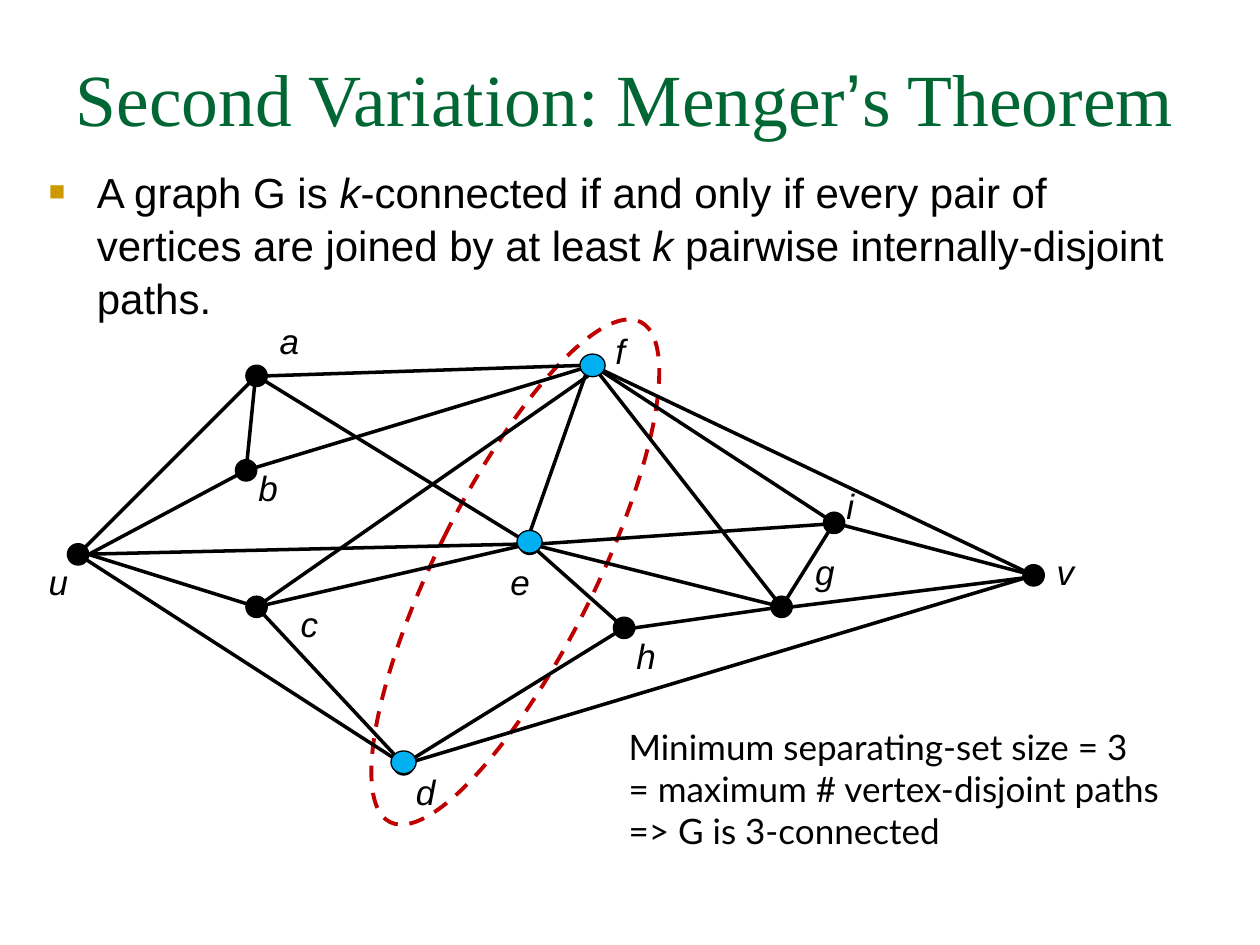
from dataclasses import dataclass
from typing import NamedTuple

from lxml.etree import SubElement
from pptx import Presentation
from pptx.dml.color import RGBColor
from pptx.enum.dml import MSO_LINE
from pptx.enum.shapes import MSO_CONNECTOR, MSO_SHAPE
from pptx.enum.text import MSO_ANCHOR, MSO_AUTO_SIZE, PP_ALIGN
from pptx.oxml.ns import qn
from pptx.util import Inches, Pt

COLORS = {"title": "006633", "text": "000000", "bullet": "CC9900",
          "cut": "C00000", "vertex": "000000", "separator": "00B0F0"}
UNIT = 1 / 12                # grid step of the graph, inches
ORIGIN_X, ORIGIN_Y = 0.62, 4.4   # vertex u sits at column 0, row 0


class Run(NamedTuple):
    text: str
    font: str = "Arial"
    italic: bool = False


@dataclass
class Vertex:
    col: float
    row: float
    label_col: float         # label box corner, relative to the vertex
    label_row: float
    label_width: float = 0.35


@dataclass
class Edge:
    start: str
    end: str
    start_shift: tuple[int, int] = (0, 0)   # columns, rows off the centre
    end_shift: tuple[int, int] = (0, 0)


VERTICES = {
    "a": Vertex(17, -17, 1, -6),
    "b": Vertex(16, -8, 0, -1),
    "c": Vertex(17, 5, 3, -1),
    "d": Vertex(31, 20, 0, 0),
    "e": Vertex(43, -1, -3, 1),
    "f": Vertex(49, -18, 1, -4, 0.27),
    "g": Vertex(67, 5, 2, -6),
    "h": Vertex(52, 7, 0, 0),
    "i": Vertex(72, -3, 0, -4.2, 0.26),
    "u": Vertex(0, 0, -4, 0),
    "v": Vertex(91, 2, 1, -3),
}
CENTRED = "ec eu dc du hd vd if vf ig vi he ge gf ea fb au"
RIGHT, LEFT, UP = (1, 0), (-1, 0), (0, -1)
EDGES = [Edge(*pair) for pair in CENTRED.split()] + [
    Edge("c", "u", end_shift=RIGHT),
    Edge("b", "u", end_shift=RIGHT),
    Edge("v", "g", RIGHT, RIGHT),
    Edge("g", "h", end_shift=RIGHT),
    Edge("i", "e", RIGHT, RIGHT),
    Edge("f", "a", LEFT, RIGHT),
    Edge("a", "b", start_shift=UP),
    Edge("f", "c", start_shift=RIGHT),
    Edge("f", "e", UP, UP),
]
SEPARATOR_RISE = {"f": 0, "d": 0.2, "e": 0.2}   # rows above the vertex


def rgb(name: str) -> RGBColor:
    return RGBColor.from_string(COLORS[name])


def grid(col: float, row: float) -> tuple[float, float]:
    return ORIGIN_X + col * UNIT, ORIGIN_Y + row * UNIT


def add_runs(p, runs: list[Run], size: float, color: str = "text") -> None:
    for run in runs:
        r = p.add_run()
        r.text = run.text
        r.font.name, r.font.size, r.font.italic = run.font, Pt(size), run.italic
        r.font.color.rgb = rgb(color)


def add_text(s, box: tuple, paragraphs: list[list[Run]], size: float, wrap=True):
    tf = s.shapes.add_textbox(*map(Inches, box)).text_frame
    tf.word_wrap = wrap
    for n, runs in enumerate(paragraphs):
        p = tf.add_paragraph() if n else tf.paragraphs[0]
        add_runs(p, runs, size)
    return tf


def add_bullet(p, char: str, indent: float) -> None:
    pPr = p._p.get_or_add_pPr()
    pPr.set("marL", str(Inches(indent)))
    pPr.set("indent", str(-Inches(indent)))
    clr = SubElement(pPr, qn("a:buClr"))
    SubElement(clr, qn("a:srgbClr"), val=COLORS["bullet"])
    SubElement(pPr, qn("a:buSzPct"), val="65000")
    SubElement(pPr, qn("a:buFont"), typeface="Arial")
    SubElement(pPr, qn("a:buChar"), char=char)


def add_ellipse(s, centre: tuple[float, float], width: float, height: float):
    x, y = centre
    sp = s.shapes.add_shape(MSO_SHAPE.OVAL, Inches(x - width / 2),
                            Inches(y - height / 2), Inches(width), Inches(height))
    sp.shadow.inherit = False
    return sp


def add_dot(s, col: float, row: float, width: float, height: float, fill: str) -> None:
    sp = add_ellipse(s, grid(col, row), width, height)
    sp.fill.solid()
    sp.fill.fore_color.rgb = rgb(fill)
    sp.line.color.rgb = rgb("vertex")
    sp.line.width = Pt(0.75)


def edge_point(name: str, shift: tuple[int, int]) -> list:
    v = VERTICES[name]
    return [Inches(n) for n in grid(v.col + shift[0], v.row + shift[1])]


def add_edge(s, edge: Edge) -> None:
    cx = s.shapes.add_connector(MSO_CONNECTOR.STRAIGHT,
                                *edge_point(edge.start, edge.start_shift),
                                *edge_point(edge.end, edge.end_shift))
    cx.line.color.rgb = rgb("vertex")
    cx.line.width = Pt(2)
    SubElement(cx._element.spPr, qn("a:effectLst"))


def add_title(s) -> None:
    sp = s.shapes.title
    sp.left, sp.top, sp.width, sp.height = map(Inches, (0.5, 0.3, 9, 1.25))
    tf = sp.text_frame
    tf.word_wrap, tf.auto_size = True, MSO_AUTO_SIZE.NONE
    tf.vertical_anchor, tf.margin_top = MSO_ANCHOR.TOP, Inches(0.12)
    p = tf.paragraphs[0]
    p.alignment = PP_ALIGN.LEFT
    serif = "Times New Roman"
    add_runs(p, [Run("Second Variation: Menger", serif), Run("’"),
                 Run("s Theorem", serif)], 42, "title")


def main() -> None:
    prs = Presentation()
    prs.slide_width, prs.slide_height = Inches(10), Inches(7.5)
    s = prs.slides.add_slide(prs.slide_layouts[5])
    add_title(s)

    # Theorem
    tf = add_text(s, (0.29, 1.23, 9.28, 1.47), [[
        Run("A graph G is "), Run("k", italic=True),
        Run("-connected if and only if every pair of vertices are joined by at least "),
        Run("k ", italic=True), Run("pairwise internally-disjoint paths.")]], 24)
    tf.margin_top = Inches(0.07)
    tf.paragraphs[0].line_spacing = 1.05
    add_bullet(tf.paragraphs[0], "■", 0.38)

    # Dashed outline around the separating set
    cut = add_ellipse(s, (4.09, 4.54), 1.26, 4.44)
    cut.rotation = 26.6
    cut.fill.background()
    cut.line.color.rgb = rgb("cut")
    cut.line.width, cut.line.dash_style = Pt(2.25), MSO_LINE.DASH

    # Graph: vertices, edges, labels
    for v in VERTICES.values():
        add_dot(s, v.col, v.row, 0.17, 0.17, "vertex")
    for edge in EDGES:
        add_edge(s, edge)
    for name, v in VERTICES.items():
        corner = grid(v.col + v.label_col, v.row + v.label_row)
        add_text(s, (*corner, v.label_width, 0.44), [[Run(name, italic=True)]], 20, wrap=False)

    # Separating set
    for name, rise in SEPARATOR_RISE.items():
        v = VERTICES[name]
        add_dot(s, v.col, v.row - rise, 0.2, 0.18, "separator")

    # Conclusion
    conclusion = ["Minimum separating-set size = 3",
                  "= maximum # vertex-disjoint paths", "=> G is 3-connected"]
    add_text(s, (4.89, 5.71, 4.64, 1.44), [[Run(t, "Lato")] for t in conclusion], 20)

    prs.save("out.pptx")


if __name__ == "__main__":
    main()
